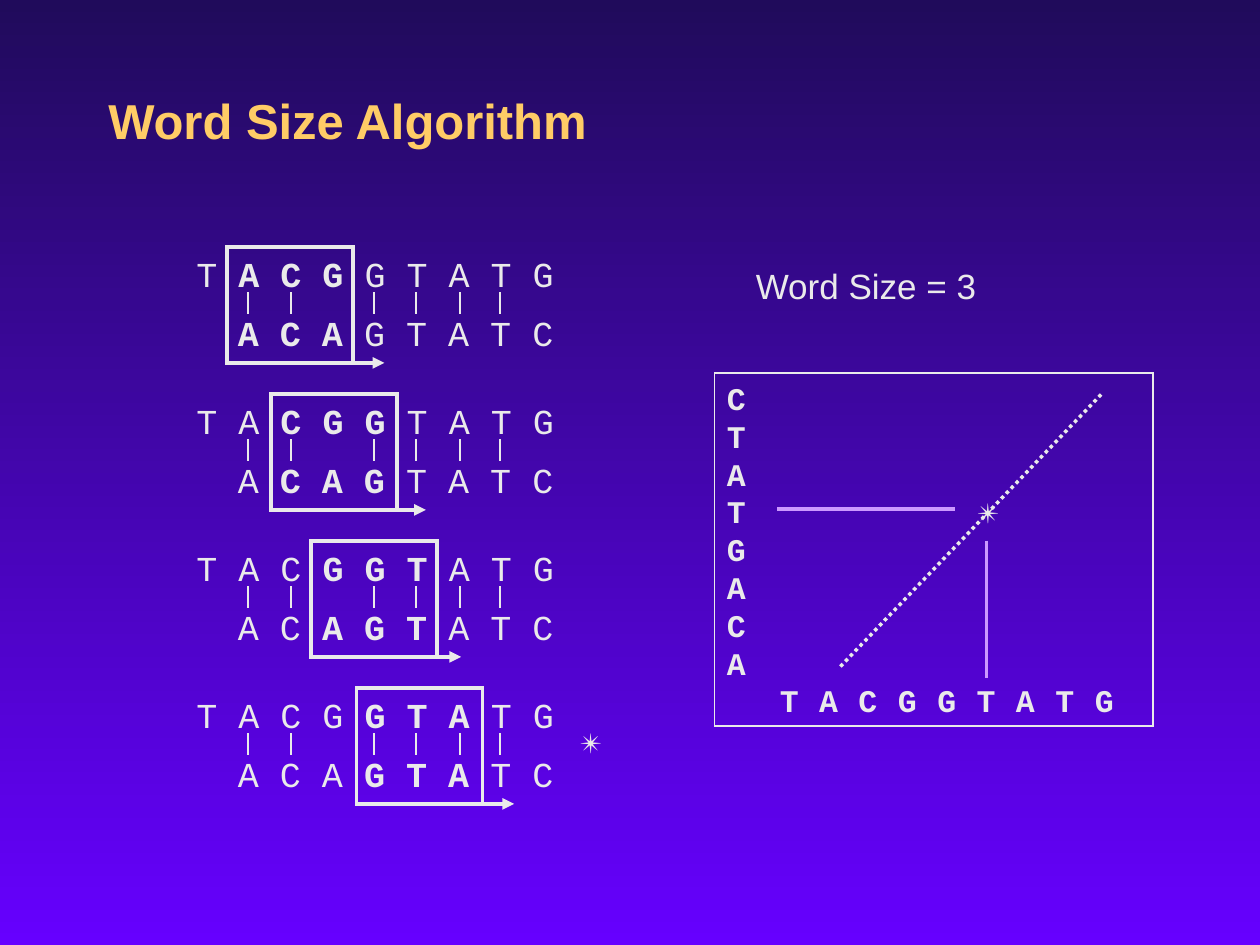
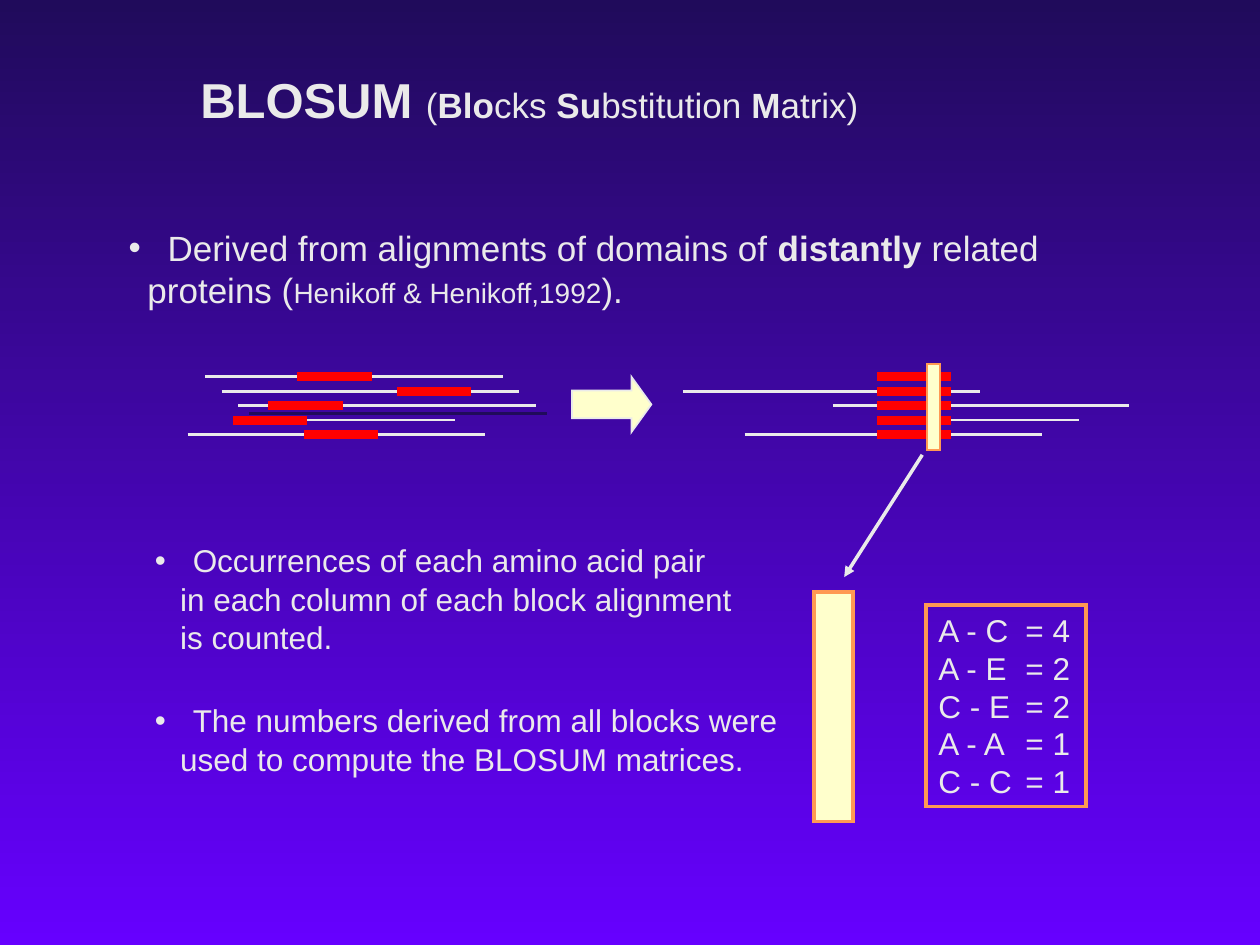
from lxml import etree
from pptx import Presentation
from pptx.dml.color import RGBColor
from pptx.enum.dml import MSO_LINE
from pptx.enum.shapes import MSO_CONNECTOR, MSO_SHAPE
from pptx.enum.text import MSO_ANCHOR, MSO_AUTO_SIZE, PP_ALIGN
from pptx.oxml.ns import qn
from pptx.util import Inches, Pt

NIGHT = RGBColor(0x20, 0x0B, 0x5B)
VIOLET = RGBColor(0x66, 0x00, 0xFF)
GOLD = RGBColor(0xFF, 0xCC, 0x66)
PALE = RGBColor(0xEA, 0xEA, 0xEA)
LILAC = RGBColor(0xCC, 0x99, 0xFF)
CREAM = RGBColor(0xFF, 0xFF, 0xCC)
ORANGE = RGBColor(0xFF, 0x99, 0x53)
RED = RGBColor(0xFF, 0x00, 0x00)
SANS, MONO = "Arial", "Courier New"
TITLE_ONLY, TITLE_AND_BODY = 5, 1


def write(para, text, size=20, color=PALE, bold=False, font=SANS):
    """Add one formatted span to a paragraph."""
    span = para.add_run()
    span.text = text
    span.font.size = Pt(size)
    span.font.bold = bold
    span.font.name = font
    span.font.color.rgb = color


def layout_para(para, leading=None, before=0, margin=0, bullet=None, hang=0, tabs=()):
    """Set spacing, indents, bullet and tab stops of a paragraph."""
    para.alignment = PP_ALIGN.LEFT
    para.space_before = Pt(before)
    if leading:
        para.line_spacing = Pt(leading)
    props = para._p.get_or_add_pPr()
    if margin:
        props.set("marL", str(Inches(margin)))
        props.set("indent", str(Inches(-hang)))
    if bullet:
        etree.SubElement(props, qn("a:buChar")).set("char", bullet)
    else:
        etree.SubElement(props, qn("a:buNone"))
    if tabs:
        stops = etree.SubElement(props, qn("a:tabLst"))
        for stop in tabs:
            tab = etree.SubElement(stops, qn("a:tab"))
            tab.set("pos", str(Inches(stop)))
            tab.set("algn", "l")


class SlideBuilder:
    """Holds the deck style and the slide being built."""

    def __init__(self):
        self.deck = Presentation()
        self.deck.slide_width, self.deck.slide_height = Inches(10), Inches(7.5)
        fill = self.deck.slide_master.background.fill
        fill.gradient()
        fill.gradient_angle = 270
        for stop, color, place in zip(fill.gradient_stops, (NIGHT, VIOLET), (0, 1)):
            stop.color.rgb, stop.position = color, place
        self.page = None

    def start(self, layout):
        self.page = self.deck.slides.add_slide(self.deck.slide_layouts[layout])

    def fill_text(self, shape, paras, anchor=MSO_ANCHOR.TOP, wrap=True, **style):
        """Put paragraphs, each (spans, layout), into a shape."""
        frame = shape.text_frame
        frame.auto_size = MSO_AUTO_SIZE.NONE
        frame.word_wrap = wrap
        frame.vertical_anchor = anchor
        frame.margin_left = frame.margin_right = Inches(0.1)
        frame.margin_top = frame.margin_bottom = Inches(0.05)
        for index, (spans, layout) in enumerate(paras):
            para = frame.add_paragraph() if index else frame.paragraphs[0]
            layout_para(para, **layout)
            for text, changes in spans:
                write(para, text, **{**style, **changes})

    def place(self, shape, left, top, width, height):
        shape.left, shape.top = Inches(left), Inches(top)
        shape.width, shape.height = Inches(width), Inches(height)

    def title(self, area, spans, **style):
        shape = self.page.shapes.title
        self.place(shape, *area)
        self.fill_text(shape, [(spans, {})], anchor=MSO_ANCHOR.MIDDLE, **style)

    def body(self, area, paras, **style):
        shape = self.page.placeholders[1]
        self.place(shape, *area)
        self.fill_text(shape, paras, **style)

    def text(self, area, paras, **style):
        box = self.page.shapes.add_textbox(*map(Inches, area))
        self.fill_text(box, paras, **style)

    def shape(self, area, line, weight, fill=None, kind=MSO_SHAPE.RECTANGLE):
        shape = self.page.shapes.add_shape(kind, *map(Inches, area))
        shape.shadow.inherit = False
        if fill is None:
            shape.fill.background()
        else:
            shape.fill.solid()
            shape.fill.fore_color.rgb = fill
        shape.line.color.rgb = line
        shape.line.width = Pt(weight)
        outline = shape.line._get_or_add_ln()
        etree.SubElement(outline, qn("a:miter")).set("lim", "800000")
        return shape

    def line(self, x1, y1, x2, y2, color=PALE, weight=1, arrow=False, dash=None):
        link = self.page.shapes.add_connector(
            MSO_CONNECTOR.STRAIGHT, *map(Inches, (x1, y1, x2, y2)))
        link.line.color.rgb = color
        link.line.width = Pt(weight)
        if dash:
            link.line.dash_style = dash
        if arrow:
            outline = link.line._get_or_add_ln()
            etree.SubElement(outline, qn("a:tailEnd")).set("type", "triangle")
        etree.SubElement(link._element.spPr, qn("a:effectLst"))


def window_spans(letters, first):
    """Spaced letters with the three of the word window in bold."""
    last = first + 3
    parts = (letters[:first], False), (letters[first:last], True), (letters[last:], False)
    return [(" ".join(part) + ("" if part is parts[-1][0] else " "), {"bold": bold})
            for part, bold in parts if part]


def word_size_slide(show):
    show.start(TITLE_ONLY)
    show.title((0.76, 0.33, 8.5, 1.25), [("Word Size Algorithm", {})],
               size=28, color=GOLD, bold=True)

    # Four positions of the sliding word window
    upper, lower = "TACGGTATG", "ACAGTATC"
    window_lefts = (1.8, 2.15, 2.47, 2.83)
    arrow_lefts = (2.8, 3.13, 3.41, 3.83)
    row_gap = 3.5 / 3
    for row, (window, arrow) in enumerate(zip(window_lefts, arrow_lefts)):
        top = 2.05 + row * row_gap
        show.text((1.46, top, 3.04, 0.8), [
            (window_spans(upper, row + 1), {"leading": 17}),
            (window_spans(lower, row), {"leading": 17, "before": 16.7, "margin": 0.33}),
        ], wrap=False, font=MONO)
        show.shape((window, top - 0.09, 1, 0.92), PALE, 2.25)
        for match in (1.97, 2.31, 2.97, 3.3, 3.65, 3.97):
            show.line(match, top + 0.27, match, top + 0.44)
        show.line(arrow, top + 0.83, arrow + 0.25, top + 0.83, weight=2.25, arrow=True)

    star = ("✴", {"size": 16, "font": SANS, "bold": False})
    show.text((4.5, 5.71, 0.4, 0.37), [([star], {})], wrap=False)

    # Dot plot with both sequences as axes
    show.text((5.9, 2.05, 2.07, 0.44), [([("Word Size = 3", {})], {})])
    columns = [0.42 + 2.5 / 8 * index for index in range(len(upper))]
    paras = [([(letter, {})], {"leading": 21.6}) for letter in reversed(lower)]
    paras[3] = ([("T\t", {}), star], {"leading": 21.6, "tabs": [columns[5]]})
    paras.append(([("\t" + "\t".join(upper), {})], {"leading": 21.6, "tabs": columns}))
    plot = show.shape((5.67, 2.96, 3.48, 2.8), PALE, 1)
    show.fill_text(plot, paras, size=18, font=MONO, bold=True)
    show.line(6.17, 4.04, 7.58, 4.04, LILAC, 2)
    show.line(7.83, 4.29, 7.83, 5.38, LILAC, 2)
    show.line(6.67, 5.29, 8.75, 3.12, weight=2, dash=MSO_LINE.ROUND_DOT)


def blosum_slide(show):
    show.start(TITLE_AND_BODY)
    strong = {"bold": True}
    show.title((1.49, 0.16, 7, 1.25), [
        ("BLOSUM ", {"bold": True, "size": 28}), ("(", {}), ("Blo", strong),
        ("cks ", {}), ("Su", strong), ("bstitution ", {}), ("M", strong),
        ("atrix)", {})])

    # Bulleted statements
    small = {"size": 18}
    point = {"leading": 22, "margin": 0.51, "hang": 0.3, "bullet": "•"}
    follow = {"leading": 22, "margin": 0.41}
    show.body((0.92, 1.75, 7.45, 4.47), [
        ([("Derived from alignments of domains of ", {}), ("distantly", strong),
          (" related", {})],
         {"leading": 24, "margin": 0.31, "hang": 0.31, "bullet": "•"}),
        ([("proteins (", {}), ("Henikoff & Henikoff,1992", {"size": 16}), (").", {})],
         {"leading": 24, "margin": 0.15}),
        ([("Occurrences of each amino acid pair", small)], {**point, "before": 131.3}),
        ([("in each column of each block alignment", small)], follow),
        ([("is counted.", small)], follow),
        ([("The numbers derived from all blocks were", small)], {**point, "before": 25.4}),
        ([("used to compute the BLOSUM matrices.", small)], follow),
    ])

    # Sequences before and after lining up their blocks: (start, end) per row
    rows = [2.99 + index * 0.46 / 4 for index in range(5)]
    loose = ((1.63, 3.99), (1.76, 4.12), (1.89, 4.25), (2.02, 3.61), (1.49, 3.85))
    aligned = ((5.42, 7.78), (6.61, 8.96), (6.98, 8.56), (5.91, 8.27))
    block_starts = (2.36, 3.15, 2.13, 1.85, 2.41)
    show.line(1.98, 3.28, 4.34, 3.28, NIGHT, 1.5)
    for y, (start, end) in [*zip(rows, loose), *zip(rows[1:], aligned)]:
        show.line(start, y, end, y, weight=1.5)
    for y, block in zip(rows, block_starts):
        for start in (block, 6.96):
            show.line(start, y, start + 0.59, y, RED, 5)
    arrow = show.shape((4.54, 2.99, 0.63, 0.44), PALE, 1, CREAM, MSO_SHAPE.RIGHT_ARROW)
    arrow.adjustments[0], arrow.adjustments[1] = 0.5, 0.36

    # One block column, in place and enlarged
    show.shape((7.36, 2.89, 0.1, 0.68), ORANGE, 1, CREAM)
    show.shape((6.46, 4.7, 0.31, 1.82), ORANGE, 2, CREAM)
    show.line(7.32, 3.61, 6.7, 4.58, weight=2, arrow=True)

    # Pair counts
    counts = (("A - C", 4), ("A - E", 2), ("C - E", 2), ("A - A", 1), ("C - C", 1))
    panel = show.shape((7.35, 4.8, 1.27, 1.6), ORANGE, 2)
    show.fill_text(panel, [([(f"{pair}\t= {count}", {})],
                            {"leading": 21.6, "tabs": [0.69]})
                           for pair, count in counts], wrap=False, size=18)


def main():
    show = SlideBuilder()
    word_size_slide(show)
    blosum_slide(show)
    show.deck.save("out.pptx")


if __name__ == "__main__":
    main()
